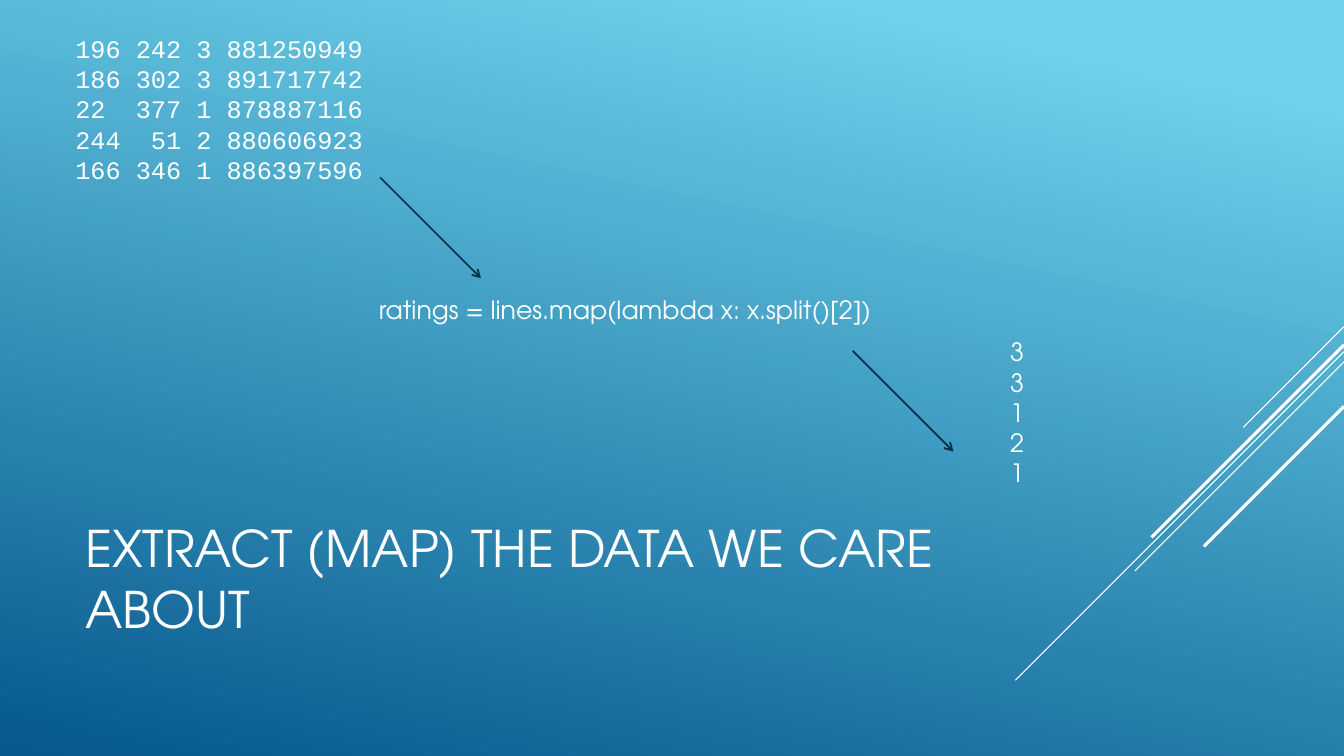
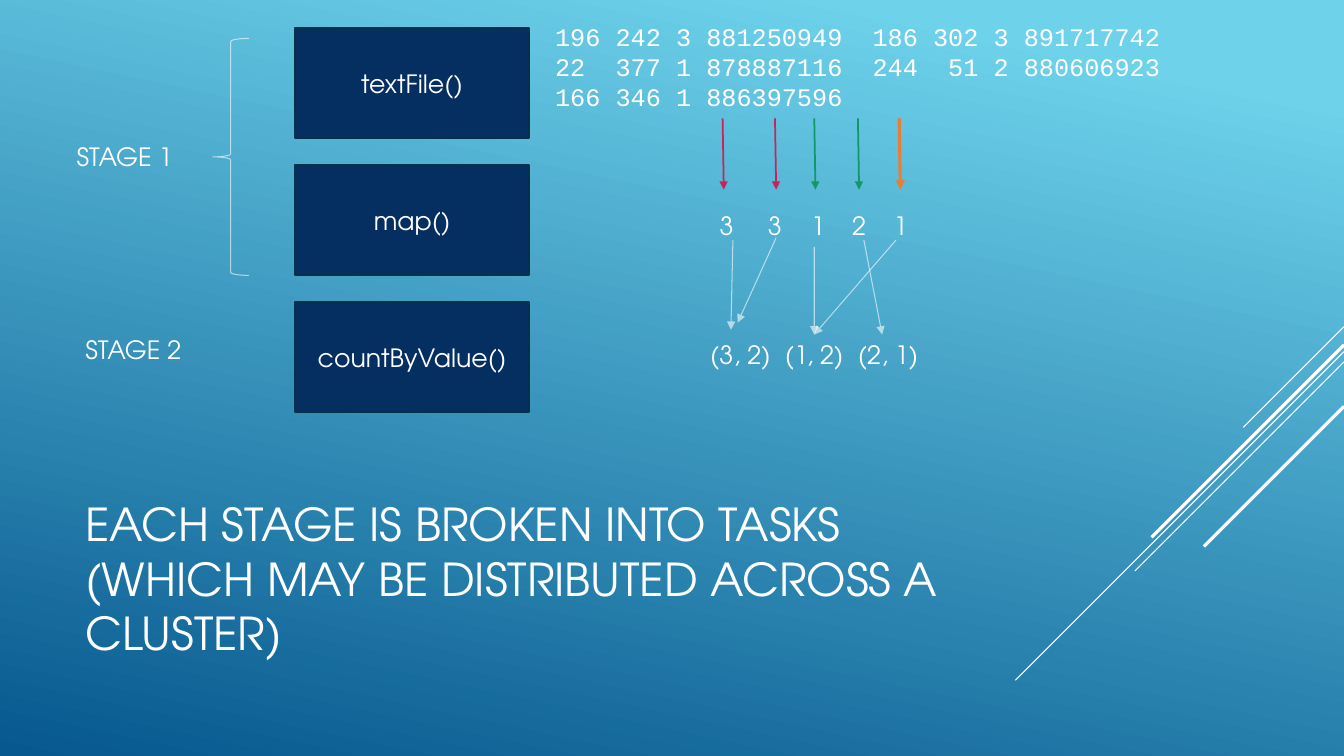
import dataclasses

import lxml.etree
import pptx
import pptx.dml.color
import pptx.enum.shapes
import pptx.enum.text
import pptx.oxml.ns
import pptx.util

Cm = pptx.util.Cm
Pt = pptx.util.Pt
qn = pptx.oxml.ns.qn
ALIGN = pptx.enum.text.PP_ALIGN
ANCHOR = pptx.enum.text.MSO_ANCHOR
SHAPE = pptx.enum.shapes.MSO_SHAPE


@dataclasses.dataclass(frozen=True)
class Theme:
    sky: str = "6ED2EB"
    deep: str = "06588E"
    white: str = "FFFFFF"
    navy: str = "052F61"
    ink: str = "043148"
    pink: str = "C6235F"
    green: str = "149666"
    orange: str = "E87D37"
    font: str = "TeX Gyre Adventor"
    mono: str = "Courier New"
    body: float = 18
    title: float = 36
    long_title: float = 32.4
    hair: float = 0.75
    thin: float = 1.25
    thick: float = 2.25
    faint: int = 60


THEME = Theme()


def rgb(color):
    return pptx.dml.color.RGBColor.from_string(color)


def write(tf, text, font=THEME.font, size=THEME.body, color=THEME.white,
          align=ALIGN.LEFT, anchor=ANCHOR.TOP, wrap=True):
    tf.word_wrap = wrap
    tf.vertical_anchor = anchor
    for i, row in enumerate(text.split("\n")):
        p = tf.paragraphs[0] if i == 0 else tf.add_paragraph()
        p.alignment = align
        r = p.add_run()
        r.text = row
        r.font.name = font
        r.font.size = Pt(size)
        r.font.color.rgb = rgb(color)


class Deck:
    streaks = [(8.23, 2.54, THEME.hair), (8.86, 8.28, THEME.hair),
               (9.12, 5.27, THEME.hair), (8.69, 4.85, THEME.thick),
               (10.24, 3.53, THEME.thick)]

    def __init__(self, theme, width=33.87, height=19.05):
        self.theme = theme
        self.width = width
        self.prs = pptx.Presentation()
        self.prs.slide_width = Cm(width)
        self.prs.slide_height = Cm(height)
        fill = self.prs.slide_master.background.fill
        fill.gradient()
        fill.gradient_angle = 258
        stops = [(0.1, theme.sky), (1, theme.deep)]
        for stop, (position, color) in zip(fill.gradient_stops, stops):
            stop.position = position
            stop.color.rgb = rgb(color)

    def slide(self, title, size):
        self.s = self.prs.slides.add_slide(self.prs.slide_layouts[6])
        for y, reach, weight in self.streaks:
            self.line(self.width, y, self.width - reach, y + reach,
                      self.theme.white, weight)
        self.text(1.9, 12.47, 23.7, 4.19, title, size=size, anchor=ANCHOR.MIDDLE)

    def stroke(self, sp, color, weight, alpha=None, head=None):
        sp.line.color.rgb = rgb(color)
        sp.line.width = Pt(weight)
        ln = sp.element.spPr.find(qn("a:ln"))
        if alpha:
            clr = ln.find(".//" + qn("a:srgbClr"))
            lxml.etree.SubElement(clr, qn("a:alpha"), val=str(alpha * 1000))
        if head:
            lxml.etree.SubElement(ln, qn("a:tailEnd"), type=head)

    def line(self, x1, y1, x2, y2, color, weight, **look):
        sp = self.s.shapes.add_connector(
            pptx.enum.shapes.MSO_CONNECTOR.STRAIGHT, Cm(x1), Cm(y1), Cm(x2), Cm(y2))
        self.stroke(sp, color, weight, **look)
        lxml.etree.SubElement(sp.element.spPr, qn("a:effectLst"))

    def text(self, x, y, w, h, text, **look):
        sp = self.s.shapes.add_textbox(Cm(x), Cm(y), Cm(w), Cm(h))
        write(sp.text_frame, text, **look)

    def label(self, center, y, text, w=3):
        self.text(center - w / 2, y, w, 1.02, text, align=ALIGN.CENTER)

    def shape(self, kind, x, y, w, h):
        sp = self.s.shapes.add_shape(kind, Cm(x), Cm(y), Cm(w), Cm(h))
        sp.shadow.inherit = False
        return sp

    def box(self, x, y, w, h, text):
        sp = self.shape(SHAPE.RECTANGLE, x, y, w, h)
        sp.fill.solid()
        sp.fill.fore_color.rgb = rgb(self.theme.navy)
        self.stroke(sp, self.theme.ink, self.theme.thin)
        write(sp.text_frame, text, align=ALIGN.CENTER, anchor=ANCHOR.MIDDLE)

    def brace(self, x, y, w, h):
        sp = self.shape(SHAPE.LEFT_BRACE, x, y, w, h)
        sp.fill.background()
        self.stroke(sp, self.theme.white, self.theme.hair, alpha=self.theme.faint)


def build_extract(deck):
    t = deck.theme
    deck.slide("EXTRACT (MAP) THE DATA WE CARE ABOUT", t.title)
    records = ["196 242 3 881250949", "186 302 3 891717742", "22  377 1 878887116",
               "244  51 2 880606923", "166 346 1 886397596"]
    deck.text(1.65, 0.71, 8.46, 4.88, "\n".join(records), font=t.mono)
    deck.text(9.3, 7.29, 17.63, 1.02, "ratings = lines.map(lambda x: x.split()[2])")
    deck.text(21.82, 8.36, 7.62, 4.11, "\n".join("33121"), align=ALIGN.CENTER)
    for x, y in [(9.58, 4.47), (21.49, 8.84)]:
        deck.line(x, y, x + 2.54, y + 2.54, t.ink, t.thin, head="arrow")


def build_stages(deck):
    t = deck.theme
    deck.slide("EACH STAGE IS BROKEN INTO TASKS (WHICH MAY BE DISTRIBUTED ACROSS A CLUSTER)",
               t.long_title)
    for i, call in enumerate(["textFile()", "map()", "countByValue()"]):
        deck.box(7.44, 0.71 + 3.45 * i, 5.89, 2.77, call)
    records = ["196 242 3 881250949  186 302 3 891717742",
               "22  377 1 878887116  244  51 2 880606923",
               "166 346 1 886397596"]
    deck.text(13.74, 0.41, 16.94, 2.57, "\n".join(records), font=t.mono)

    ratings = [("3", 18.31), ("3", 19.53), ("1", 20.62), ("2", 21.65), ("1", 22.7)]
    for rating, center in ratings:
        deck.label(center, 5.18, rating)
    for i, pair in enumerate(["(3, 2)", "(1, 2)", "(2, 1)"]):
        deck.label(18.66 + 1.86 * i, 8.43, pair)

    shuffles = [(18.47, 6.05, 18.42, 8.31), (19.56, 5.99, 18.59, 8.13),
                (20.52, 6.22, 20.52, 8.43), (21.77, 6.05, 22.23, 8.43),
                (22.58, 6.05, 20.52, 8.43)]
    for ends in shuffles:
        deck.line(*ends, t.white, t.hair, alpha=t.faint, head="triangle")
    tasks = [(18.21, t.pink, t.thin), (19.53, t.pink, t.thin), (20.52, t.green, t.thin),
             (21.62, t.green, t.thin), (22.66, t.orange, t.thick)]
    for x, color, weight in tasks:
        deck.line(x, 2.98, x + 0.03, 4.78, color, weight, head="triangle")

    deck.brace(5.36, 0.97, 0.91, 5.97)
    for x, y, stage in [(1.68, 3.43, "STAGE 1"), (1.9, 8.31, "STAGE 2")]:
        deck.text(x, y, 3.02, 1.02, stage, wrap=False)


deck = Deck(THEME)
build_extract(deck)
build_stages(deck)
deck.prs.save("out.pptx")
